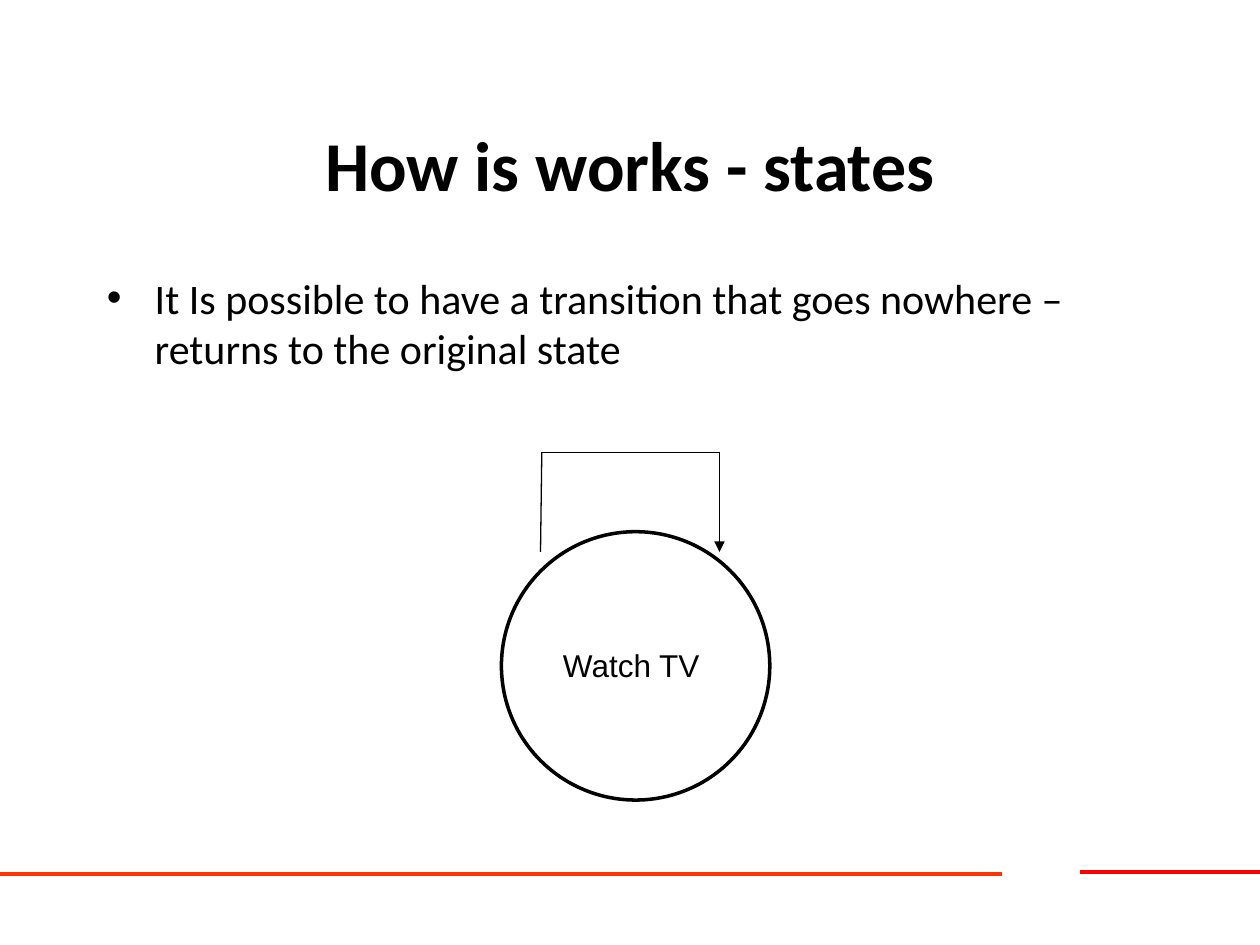
from dataclasses import dataclass

from lxml import etree
from pptx import Presentation
from pptx.dml.color import RGBColor
from pptx.enum.shapes import MSO_CONNECTOR, MSO_SHAPE
from pptx.enum.text import MSO_ANCHOR, PP_ALIGN
from pptx.oxml.ns import qn
from pptx.util import Inches, Pt

STRAIGHT = MSO_CONNECTOR.STRAIGHT
ELLIPSE = MSO_SHAPE.OVAL
LEFT, CENTER = PP_ALIGN.LEFT, PP_ALIGN.CENTER
TOP, MIDDLE = MSO_ANCHOR.TOP, MSO_ANCHOR.MIDDLE

WIDTH, HEIGHT = 10, 7.5
MARGIN = 0.075 * WIDTH
CONTENT_WIDTH = WIDTH - 2 * MARGIN
COLORS = {"ink": "000000", "paper": "FFFFFF", "red": "FF0000", "orange": "FF3300"}


@dataclass
class Line:
    start: tuple[float, float]
    end: tuple[float, float]
    color: str = "ink"
    weight: float = 0.75
    arrow_at_start: bool = False


@dataclass
class Label:
    text: str
    box: tuple[float, float, float, float]
    font: str
    size: int
    bold: bool = False
    align: PP_ALIGN = LEFT
    anchor: MSO_ANCHOR = TOP
    bullet: bool = False


def color(name: str) -> RGBColor:
    return RGBColor.from_string(COLORS[name])


def draw_line(slide, line: Line) -> None:
    points = [Inches(value) for value in (*line.start, *line.end)]
    connector = slide.shapes.add_connector(STRAIGHT, *points)
    connector.line.color.rgb = color(line.color)
    connector.line.width = Pt(line.weight)
    if line.arrow_at_start:
        outline = connector.line._get_or_add_ln()
        etree.SubElement(outline, qn("a:headEnd"), type="triangle")
    etree.SubElement(connector._element.spPr, qn("a:effectLst"))


def draw_label(slide, label: Label) -> None:
    shape = slide.shapes.add_textbox(*[Inches(value) for value in label.box])
    frame = shape.text_frame
    frame.word_wrap = True
    frame.vertical_anchor = label.anchor
    frame.text = label.text
    paragraph = frame.paragraphs[0]
    paragraph.alignment = label.align
    if label.bullet:
        properties = paragraph._p.get_or_add_pPr()
        properties.set("marL", str(Inches(0.38)))
        properties.set("indent", str(Inches(-0.38)))
        etree.SubElement(properties, qn("a:buFont"), typeface="Arial")
        etree.SubElement(properties, qn("a:buChar"), char="•")
    font = paragraph.runs[0].font
    font.name, font.size, font.bold = label.font, Pt(label.size), label.bold
    font.color.rgb = color("ink")


def draw_state(slide, left: float, top: float, diameter: float) -> None:
    shape = slide.shapes.add_shape(
        ELLIPSE, *[Inches(value) for value in (left, top, diameter, diameter)])
    shape.shadow.inherit = False
    shape.fill.solid()
    shape.fill.fore_color.rgb = color("paper")
    shape.line.color.rgb = color("ink")
    shape.line.width = Pt(2)


# Footer rules
FOOTER = [
    Line((8.57, 6.92), (WIDTH, 6.92), "red", 2.25),
    Line((0, 6.94), (7.95, 6.94), "orange", 2.25),
]

# Transition that leaves the state and returns to it
LOOP_LEFT, LOOP_RIGHT, LOOP_TOP, LOOP_BOTTOM = 4.29, 5.71, 3.59, 4.38
LOOP = [
    Line((LOOP_LEFT, LOOP_BOTTOM), (LOOP_LEFT + 0.01, LOOP_TOP)),
    Line((LOOP_RIGHT, LOOP_BOTTOM), (LOOP_RIGHT, LOOP_TOP), arrow_at_start=True),
    Line((LOOP_RIGHT, LOOP_TOP), (LOOP_LEFT, LOOP_TOP)),
]

HEADINGS = [
    Label("How is works - states", (MARGIN, 0.67, CONTENT_WIDTH, 1.25),
          "Calibri", 40, bold=True, align=CENTER, anchor=MIDDLE),
    Label("It Is possible to have a transition that goes nowhere – "
          "returns to the original state",
          (MARGIN, 2.11, CONTENT_WIDTH, 1.09), "Calibri", 24, bullet=True),
]
STATE_NAME = Label("Watch TV", (4.37, 5.08, 1.34, 0.4), "Arial", 18)


def main() -> None:
    presentation = Presentation()
    presentation.slide_width, presentation.slide_height = Inches(WIDTH), Inches(HEIGHT)
    slide = presentation.slides.add_slide(presentation.slide_layouts[6])
    slide.background.fill.solid()
    slide.background.fill.fore_color.rgb = color("paper")

    for line in FOOTER:
        draw_line(slide, line)
    for heading in HEADINGS:
        draw_label(slide, heading)
    draw_state(slide, 3.98, 4.22, 2.13)
    draw_label(slide, STATE_NAME)
    for line in LOOP:
        draw_line(slide, line)
    presentation.save("out.pptx")


if __name__ == "__main__":
    main()
